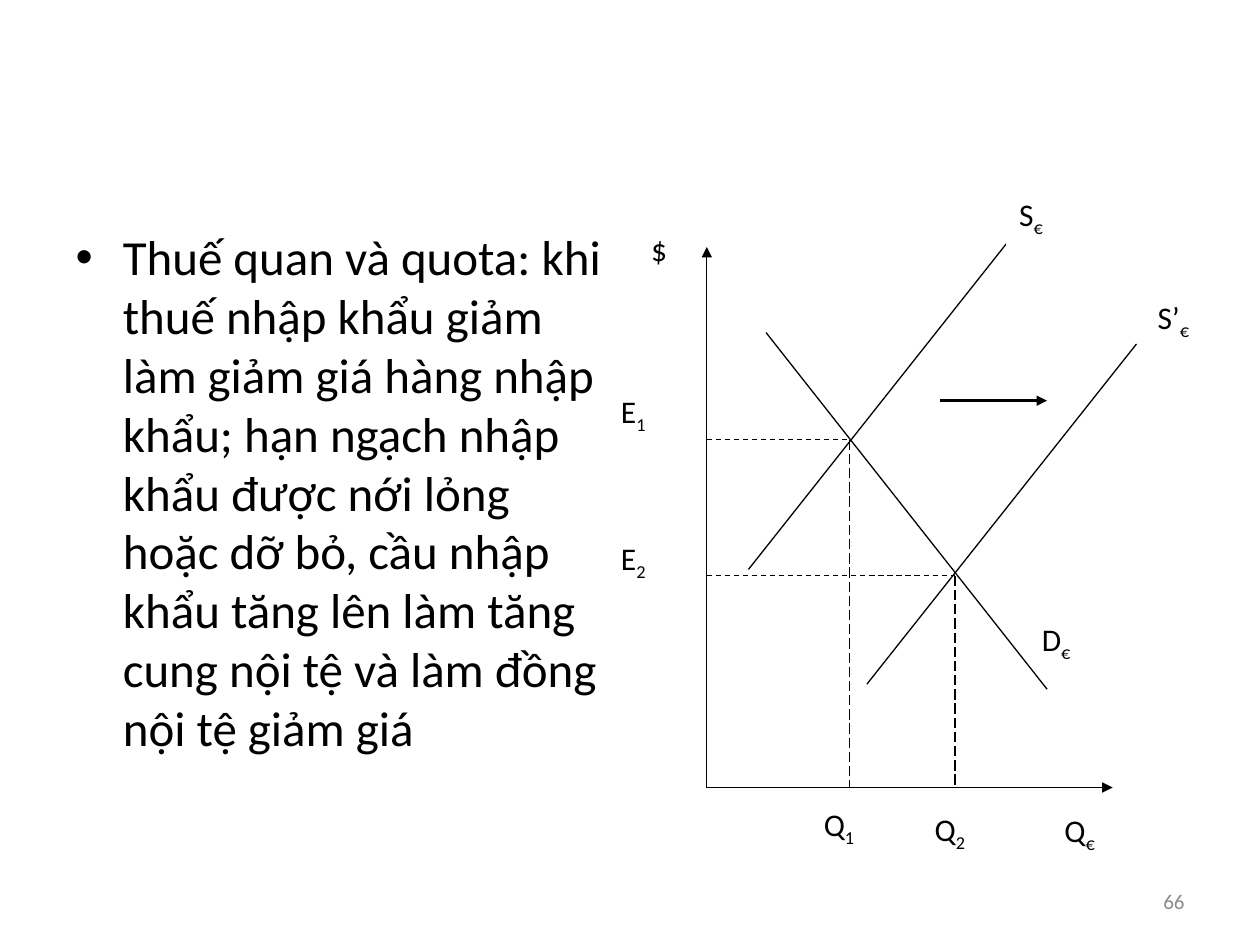
from lxml.etree import SubElement
from pptx import Presentation
from pptx.dml.color import RGBColor
from pptx.enum.dml import MSO_LINE_DASH_STYLE as DASH
from pptx.enum.shapes import MSO_CONNECTOR, MSO_SHAPE
from pptx.enum.text import MSO_ANCHOR, MSO_AUTO_SIZE, PP_ALIGN
from pptx.oxml.ns import qn
from pptx.util import Inches, Pt

BODY = ("Thuế quan và quota: khi thuế nhập khẩu giảm làm giảm giá hàng nhập khẩu; "
        "hạn ngạch nhập khẩu được nới lỏng hoặc dỡ bỏ, cầu nhập khẩu tăng lên "
        "làm tăng cung nội tệ và làm đồng nội tệ giảm giá")
PAGE = "66"

ORIGIN = (5.61, 6.25)
EQUILIBRIA = [(6.74, 3.49), (7.58, 4.57)]
AXIS_ENDS = [(5.61, 1.96), (8.83, 6.25)]
CURVES = [
    ((6.08, 2.64), (8.31, 5.47)),
    ((5.94, 4.52), (8.07, 1.83)),
    ((6.88, 5.43), (9.02, 2.73)),
]
SHIFT = ((7.46, 3.18), (8.31, 3.18))

LABEL_HEIGHT = 0.86
DEMAND_LABEL = ("D", "€", 8.17, 4.87, 0.66)
LABELS = [
    ("$", "", 5.07, 1.78, 0.43),
    ("E", "1", 4.83, 3.06, 0.71),
    ("E", "2", 4.83, 4.23, 0.69),
    ("Q", "€", 8.35, 6.39, 0.66),
    ("Q", "2", 7.32, 6.38, 0.66),
    ("Q", "1", 6.44, 6.34, 0.66),
    ("S’", "€", 9.09, 2.32, 0.66),
    ("S", "€", 7.99, 1.5, 0.66),
]


def rgb(value):
    return RGBColor.from_string(value)


def add_run(p, text, size, color="000000"):
    r = p.add_run()
    r.text = text
    for name, value in {"name": "Calibri", "size": Pt(size)}.items():
        setattr(r.font, name, value)
    r.font.color.rgb = rgb(color)
    return r


def add_line(s, start, end, width=0.75, dash=None, arrow=False):
    points = [Inches(v) for v in (*start, *end)]
    line = s.shapes.add_connector(MSO_CONNECTOR.STRAIGHT, *points)
    line.line.color.rgb = rgb("000000")
    line.line.width = Pt(width)
    if dash:
        line.line.dash_style = dash
    if arrow:
        SubElement(line.line._get_or_add_ln(), qn("a:tailEnd"), type="triangle")
    SubElement(line._element.spPr, qn("a:effectLst"))


def add_label(s, text, subscript, left, top, width):
    box = [Inches(v) for v in (left, top, width, LABEL_HEIGHT)]
    sp = s.shapes.add_shape(MSO_SHAPE.RECTANGLE, *box)
    sp.shadow.inherit = False
    sp.fill.solid()
    sp.fill.fore_color.rgb = rgb("FFFFFF")
    sp.line.color.rgb = rgb("FFFFFF")
    sp.line.width = Pt(0.75)
    tf = sp.text_frame
    tf.word_wrap = True
    tf.vertical_anchor = MSO_ANCHOR.TOP
    p = tf.paragraphs[0]
    p.alignment = PP_ALIGN.LEFT
    p.space_after = Pt(10)
    add_run(p, text, 18)
    if subscript:
        r = add_run(p, subscript, 18)
        r._r.get_or_add_rPr().set("baseline", "-25000")


def add_body(s):
    sp = s.placeholders[1]
    box = {"left": 0.5, "top": 1.75, "width": 4.42, "height": 4.95}
    for name, value in box.items():
        setattr(sp, name, Inches(value))
    sp.text_frame.auto_size = MSO_AUTO_SIZE.NONE
    p = sp.text_frame.paragraphs[0]
    p.space_before = Pt(0)
    add_run(p, BODY, 28)


def add_page_number(s):
    box = [Inches(v) for v in (7.17, 6.95, 2.33, 0.4)]
    tf = s.shapes.add_textbox(*box).text_frame
    tf.word_wrap = True
    tf.vertical_anchor = MSO_ANCHOR.MIDDLE
    p = tf.paragraphs[0]
    p.alignment = PP_ALIGN.RIGHT
    add_run(p, PAGE, 12, "8C8C8C")


def add_diagram(s):
    add_label(s, *DEMAND_LABEL)
    for x, y in EQUILIBRIA:
        add_line(s, (ORIGIN[0], y), (x, y), dash=DASH.DASH)
        add_line(s, (x, y), (x, ORIGIN[1]), dash=DASH.LONG_DASH)
    for end in AXIS_ENDS:
        add_line(s, ORIGIN, end, arrow=True)
    for start, end in CURVES:
        add_line(s, start, end)
    add_line(s, *SHIFT, width=1.5, arrow=True)
    for label in LABELS:
        add_label(s, *label)


def main():
    prs = Presentation()
    prs.slide_width, prs.slide_height = Inches(10), Inches(7.5)
    s = prs.slides.add_slide(prs.slide_layouts[1])
    title = s.shapes.title._element
    title.getparent().remove(title)
    add_body(s)
    add_page_number(s)
    add_diagram(s)
    prs.save("out.pptx")


if __name__ == "__main__":
    main()
